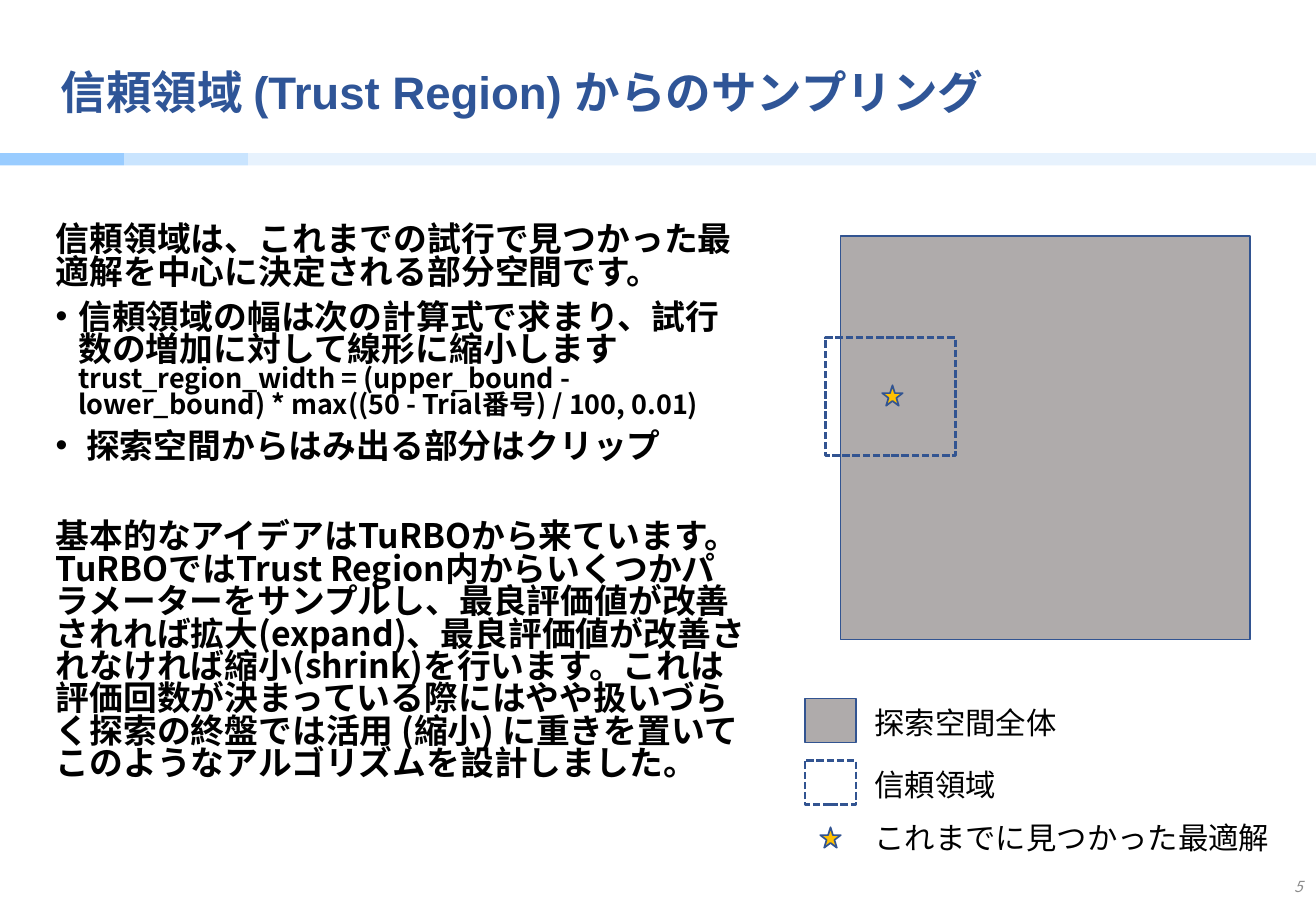
from lxml import etree
from pptx import Presentation
from pptx.dml.color import RGBColor
from pptx.enum.dml import MSO_LINE
from pptx.enum.shapes import MSO_SHAPE
from pptx.enum.text import MSO_ANCHOR, PP_ALIGN
from pptx.oxml.ns import qn
from pptx.util import Pt

RECTANGLE = MSO_SHAPE.RECTANGLE
STAR = MSO_SHAPE.STAR_5_POINT
DASH = MSO_LINE.SQUARE_DOT
MIDDLE = MSO_ANCHOR.MIDDLE
LEFT, RIGHT = PP_ALIGN.LEFT, PP_ALIGN.RIGHT
JAPANESE = "Noto Sans CJK JP"
COLORS = {
    "title": "2F5597", "text": "000000", "number": "8C8C8C",
    "space": "AFABAB", "outline": "325491", "star": "FFC000",
    "band_dark": "99CCFF", "band_mid": "C9E4FE", "band_light": "E7F2FD",
}


def add_text(paragraph, text, size=20, font=JAPANESE, color="text",
             bold=False, italic=False, align=LEFT, spacing=1.0, before=0):
    paragraph.alignment = align
    paragraph.line_spacing = spacing
    paragraph.space_before = Pt(before)
    run = paragraph.add_run()
    run.text = text
    run.font.name = font
    run.font.size = Pt(size)
    run.font.bold = bold
    run.font.italic = italic
    run.font.color.rgb = RGBColor.from_string(COLORS[color])
    east_asian = etree.SubElement(run.font._element, qn("a:ea"))
    east_asian.set("typeface", JAPANESE)


def add_figure(kind, left, top, width, height, fill=None, line=None, dash=None):
    shape = slide.shapes.add_shape(kind, Pt(left), Pt(top), Pt(width), Pt(height))
    shape.shadow.inherit = False
    if fill:
        shape.fill.solid()
        shape.fill.fore_color.rgb = RGBColor.from_string(COLORS[fill])
    else:
        shape.fill.background()
    if line:
        shape.line.color.rgb = RGBColor.from_string(COLORS["outline"])
        shape.line.width = Pt(line)
        if dash:
            shape.line.dash_style = dash
    else:
        shape.line.fill.background()


presentation = Presentation()
presentation.slide_width = Pt(780)
presentation.slide_height = Pt(540)
slide = presentation.slides.add_slide(presentation.slide_layouts[5])

for left, width, fill in [(0, 73.5, "band_dark"), (73.5, 73.5, "band_mid"),
                          (147, 633, "band_light")]:
    add_figure(RECTANGLE, left, 90.7, width, 7.4, fill)

title = slide.shapes.title
title.left, title.top, title.width, title.height = Pt(28.8), Pt(28.8), Pt(631.4), Pt(54.7)
title.text_frame.vertical_anchor = MIDDLE
add_text(title.text_frame.paragraphs[0], "信頼領域 (Trust Region) からのサンプリング",
         size=27, font="Arial", color="title", bold=True, spacing=0.9)

body = slide.shapes.add_textbox(Pt(25.9), Pt(130.3), Pt(424.1), Pt(373)).text_frame
body.word_wrap = True
body_paragraphs = [
    (["信頼領域は、これまでの試行で見つかった最適解を中心に決定される部分空間です。"], False, 0),
    (["信頼領域の幅は次の計算式で求まり、試行数の増加に対して線形に縮小します",
      "trust_region_width = (upper_bound - lower_bound) * max((50 - Trial番号) / 100, 0.01)"],
     True, 7.5),
    ([" 探索空間からはみ出る部分はクリップ"], True, 7.5),
    (["基本的なアイデアはTuRBOから来ています。TuRBOではTrust Region内からいくつか"
      "パラメーターをサンプルし、最良評価値が改善されれば拡大(expand)、最良評価値が"
      "改善されなければ縮小(shrink)を行います。これは評価回数が決まっている際には"
      "やや扱いづらく探索の終盤では活用 (縮小) に重きを置いてこのようなアルゴリズムを"
      "設計しました。"], False, 34.2),
]
for index, (texts, bulleted, before) in enumerate(body_paragraphs):
    paragraph = body.add_paragraph() if index else body.paragraphs[0]
    for position, text in enumerate(texts):
        if position:
            paragraph.add_line_break()
        add_text(paragraph, text, size=16 if position else 20, bold=True,
                 spacing=0.8, before=before)
    if bulleted:
        properties = paragraph._p.get_or_add_pPr()
        properties.set("marL", str(Pt(13.5)))
        properties.set("indent", str(Pt(-13.5)))
        etree.SubElement(properties, qn("a:buFont")).set("typeface", "Arial")
        etree.SubElement(properties, qn("a:buChar")).set("char", "•")

add_figure(RECTANGLE, 498.2, 139.7, 242.6, 239.5, "space", 1)
add_figure(STAR, 522.9, 228.4, 12.2, 12.2, "star", 1)
add_figure(RECTANGLE, 489.3, 200.2, 77, 69.8, None, 1.5, DASH)

add_figure(RECTANGLE, 477.1, 414, 30.2, 26.2, "space", 1)
add_figure(RECTANGLE, 477.1, 450.7, 30.2, 26.2, None, 1.5, DASH)
add_figure(STAR, 486.2, 490.4, 12.2, 12.2, "star", 1)
for text, top, width in [("探索空間全体", 414, 123.8), ("信頼領域", 450.7, 87.1),
                         ("これまでに見つかった最適解", 481.9, 250.6)]:
    label = slide.shapes.add_textbox(Pt(511.2), Pt(top), Pt(width), Pt(28.8)).text_frame
    label.word_wrap = False
    add_text(label.paragraphs[0], text, size=18)

number = slide.shapes.add_textbox(Pt(707.8), Pt(511.2), Pt(71.3), Pt(28.8)).text_frame
number.word_wrap = True
number.vertical_anchor = MIDDLE
add_text(number.paragraphs[0], "5", size=9, color="number", italic=True, align=RIGHT)

presentation.save("out.pptx")
